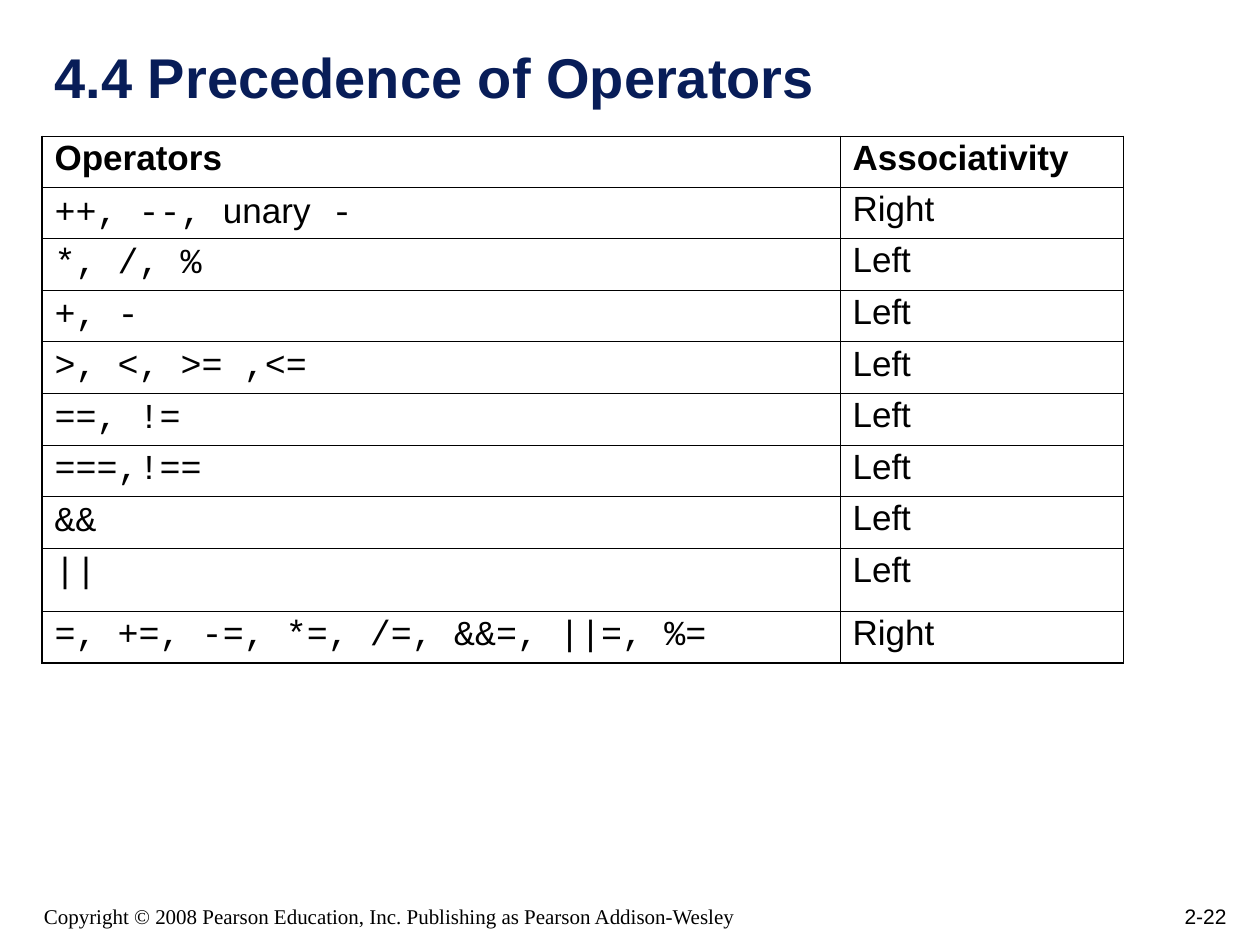
"""Build a slide with a table of operator precedence."""
from dataclasses import dataclass

from lxml.etree import SubElement
from pptx import Presentation
from pptx.dml.color import RGBColor as RGB
from pptx.enum.text import MSO_ANCHOR as Anchor, MSO_AUTO_SIZE as Auto, PP_ALIGN as Align
from pptx.oxml.ns import qn
from pptx.util import Pt


@dataclass(frozen=True)
class Theme:
    """Fonts, colours, sizes and line widths of the slide."""
    sans: str = "Arial"
    mono: str = "Courier New"
    serif: str = "Times New Roman"
    ink: str = "000000"
    navy: str = "081D58"
    title: int = 32
    body: int = 20
    note: int = 12
    thin: float = 0.45
    thick: float = 1.08


THEME = Theme()
HEAD = ("Operators", "Associativity")
ROWS = [
    (("++, --, ", "unary", " -"), "Right"),
    (("*, /, %",), "Left"),
    (("+, -",), "Left"),
    ((">, <, >= ,<=",), "Left"),
    (("==, !=",), "Left"),
    (("===,!==",), "Left"),
    (("&&",), "Left"),
    (("||",), "Left"),
    (("=, +=, -=, *=, /=, &&=, ||=, %=",), "Right"),
]
WIDTHS = (456, 162)
HEIGHTS = [28.8] + [29.5] * 7 + [36, 29.5]


def style(run, font, size, color=THEME.ink, bold=False):
    """Set the font of one run."""
    run.font.name, run.font.size, run.font.bold = font, Pt(size), bold
    run.font.color.rgb = RGB.from_string(color)


def place(shape, *box):
    """Move and size a shape, in points."""
    shape.left, shape.top, shape.width, shape.height = map(Pt, box)


def add_title(slide, text):
    """Fill and format the title placeholder."""
    shape = slide.shapes.title
    place(shape, 24, 24, 678, 42.5)
    frame = shape.text_frame
    frame.text = text
    frame.auto_size, frame.vertical_anchor = Auto.NONE, Anchor.BOTTOM
    para = frame.paragraphs[0]
    para.alignment = Align.LEFT
    style(para.runs[0], THEME.sans, THEME.title, THEME.navy, True)


def add_note(slide, text, box, font, align):
    """Add a small text at the foot of the slide."""
    frame = slide.shapes.add_textbox(*map(Pt, box)).text_frame
    frame.word_wrap, frame.vertical_anchor = True, Anchor.BOTTOM
    frame.text = text
    para = frame.paragraphs[0]
    para.alignment = align
    style(para.runs[0], font, THEME.note)


def set_edge(cell, side, width):
    """Draw one border of a cell."""
    line = SubElement(cell._tc.get_or_add_tcPr(), qn(f"a:ln{side}"), w=str(Pt(width)))
    fill = SubElement(line, qn("a:solidFill"))
    SubElement(fill, qn("a:srgbClr"), val=THEME.ink)


def fill_cell(cell, parts, font, bold=False):
    """Write the parts into a cell, every second one in the sans font."""
    para = cell.text_frame.paragraphs[0]
    para.line_spacing = 0.9
    for i, part in enumerate(parts):
        run = para.add_run()
        run.text = part
        style(run, THEME.sans if i % 2 else font, THEME.body, bold=bold)


def add_grid(slide):
    """Add the table of operators with a thick outer frame."""
    rows, cols = len(HEIGHTS), len(WIDTHS)
    box = map(Pt, (24, 78, sum(WIDTHS), sum(HEIGHTS)))
    table = slide.shapes.add_table(rows, cols, *box).table
    table.first_row = table.horz_banding = False
    for col, width in zip(table.columns, WIDTHS):
        col.width = Pt(width)
    for row, height in zip(table.rows, HEIGHTS):
        row.height = Pt(height)
    for c, text in enumerate(HEAD):
        fill_cell(table.cell(0, c), (text,), THEME.sans, True)
    for r, (signs, order) in enumerate(ROWS, 1):
        fill_cell(table.cell(r, 0), signs, THEME.mono)
        fill_cell(table.cell(r, 1), (order,), THEME.sans)
    for r in range(rows):
        for c in range(cols):
            cell = table.cell(r, c)
            outer = {"L": c == 0, "R": c == cols - 1, "T": r == 0, "B": r == rows - 1}
            for side, edge in outer.items():
                set_edge(cell, side, THEME.thick if edge else THEME.thin)
            cell.fill.background()


def main():
    """Build and save the slide."""
    deck = Presentation()
    deck.slide_width, deck.slide_height = Pt(720), Pt(540)
    slide = deck.slides.add_slide(deck.slide_layouts[5])
    add_note(slide, "2-22", (558, 498, 150, 36), THEME.sans, Align.RIGHT)
    add_note(slide, "Copyright © 2008 Pearson Education, Inc. Publishing as Pearson Addison-Wesley",
             (18, 504, 438, 30), THEME.serif, Align.LEFT)
    add_title(slide, "4.4 Precedence of Operators")
    add_grid(slide)
    deck.save("out.pptx")


if __name__ == "__main__":
    main()
